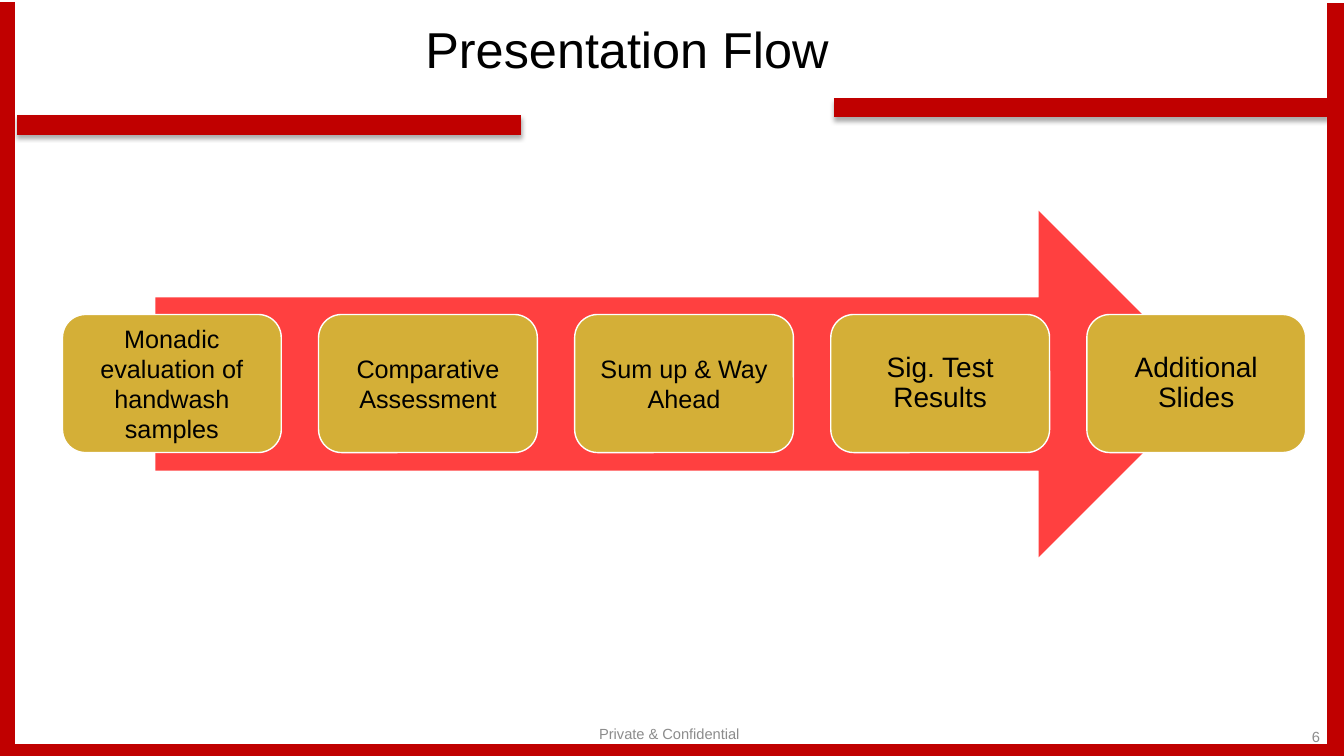
from lxml import etree
from pptx import Presentation
from pptx.dml.color import RGBColor
from pptx.enum.shapes import MSO_CONNECTOR, MSO_SHAPE
from pptx.enum.text import MSO_ANCHOR, PP_ALIGN
from pptx.oxml import parse_xml
from pptx.oxml.ns import nsdecls, qn
from pptx.util import Inches, Pt

RED = RGBColor(0xC0, 0x00, 0x00)
CORAL = RGBColor(0xFF, 0x40, 0x40)
GOLD = RGBColor(0xD4, 0xAF, 0x37)
WHITE = RGBColor(0xFF, 0xFF, 0xFF)
BLACK = RGBColor(0x00, 0x00, 0x00)
GRAY = RGBColor(0x8C, 0x8C, 0x8C)
SHADOW = (
    f'<a:effectLst {nsdecls("a")}><a:outerShdw blurRad="{Pt(3.5)}" dist="{Pt(2.2)}" '
    'dir="5400000" rotWithShape="0"><a:srgbClr val="000000"><a:alpha val="32000"/>'
    '</a:srgbClr></a:outerShdw></a:effectLst>'
)


def write_text(sp, text, size, color=BLACK, align=PP_ALIGN.CENTER, spacing=None, inset=None):
    tf = sp.text_frame
    tf.word_wrap = True
    tf.vertical_anchor = MSO_ANCHOR.MIDDLE
    if inset is not None:
        tf.margin_left = tf.margin_right = tf.margin_top = tf.margin_bottom = Inches(inset)
    p = tf.paragraphs[0]
    p.alignment = align
    if spacing:
        p.line_spacing = spacing
    r = p.add_run()
    r.text = text
    r.font.name = "Arial"
    r.font.size = Pt(size)
    r.font.color.rgb = color


prs = Presentation()
prs.slide_width, prs.slide_height = Inches(13.33), Inches(7.5)
s = prs.slides.add_slide(prs.slide_layouts[6])

# Red bars: two shadowed header bars, then the frame
bars = [
    (0.17, 1.24, 5.17, 1.24, True),
    (8.27, 1.07, 13.17, 1.07, True),
    (0.05, 0.02, 0.05, 7.45, False),
    (0, 7.48, 13.33, 7.48, False),
    (13.26, 0.03, 13.26, 7.5, False),
]
for x1, y1, x2, y2, shadowed in bars:
    bar = s.shapes.add_connector(
        MSO_CONNECTOR.STRAIGHT, Inches(x1), Inches(y1), Inches(x2), Inches(y2))
    bar.line.color.rgb = RED
    bar.line.width = Pt(13.75)
    spPr = bar._element.spPr
    if shadowed:
        spPr.append(parse_xml(SHADOW))
    else:
        etree.SubElement(spPr, qn("a:effectLst"))

# Title and footer
labels = [
    ((0.18, 0.03, 12.08, 0.97), "Presentation Flow", dict(size=36, spacing=0.9)),
    ((4.39, 7.08, 4.5, 0.4), "Private & Confidential", dict(size=10.5, color=GRAY)),
    ((12.77, 7.11, 0.42, 0.4), "6", dict(size=10.5, color=GRAY, align=PP_ALIGN.RIGHT)),
]
for box, text, style in labels:
    write_text(s.shapes.add_textbox(*map(Inches, box)), text, **style)

# Flow arrow with its steps
arrow = s.shapes.add_shape(
    MSO_SHAPE.RIGHT_ARROW, Inches(1.54), Inches(2.09), Inches(10.48), Inches(3.44))
arrow.shadow.inherit = False
arrow.fill.solid()
arrow.fill.fore_color.rgb = CORAL
arrow.line.fill.background()

MAIN = dict(size=18, inset=0.07)
EXTRA = dict(size=20, inset=0.08, spacing=0.9)
steps = [
    ("Monadic evaluation of handwash samples", MAIN),
    ("Comparative Assessment", MAIN),
    ("Sum up & Way Ahead", MAIN),
    ("Sig. Test Results", EXTRA),
    ("Additional Slides", EXTRA),
]
STEP_LEFT, STEP_PITCH = 0.62, 2.54
for i, (text, style) in enumerate(steps):
    step = s.shapes.add_shape(
        MSO_SHAPE.ROUNDED_RECTANGLE, Inches(STEP_LEFT + i * STEP_PITCH), Inches(3.12),
        Inches(2.17), Inches(1.37))
    step.shadow.inherit = False
    step.fill.solid()
    step.fill.fore_color.rgb = GOLD
    step.line.color.rgb = WHITE
    step.line.width = Pt(1)
    write_text(step, text, **style)

prs.save("out.pptx")
